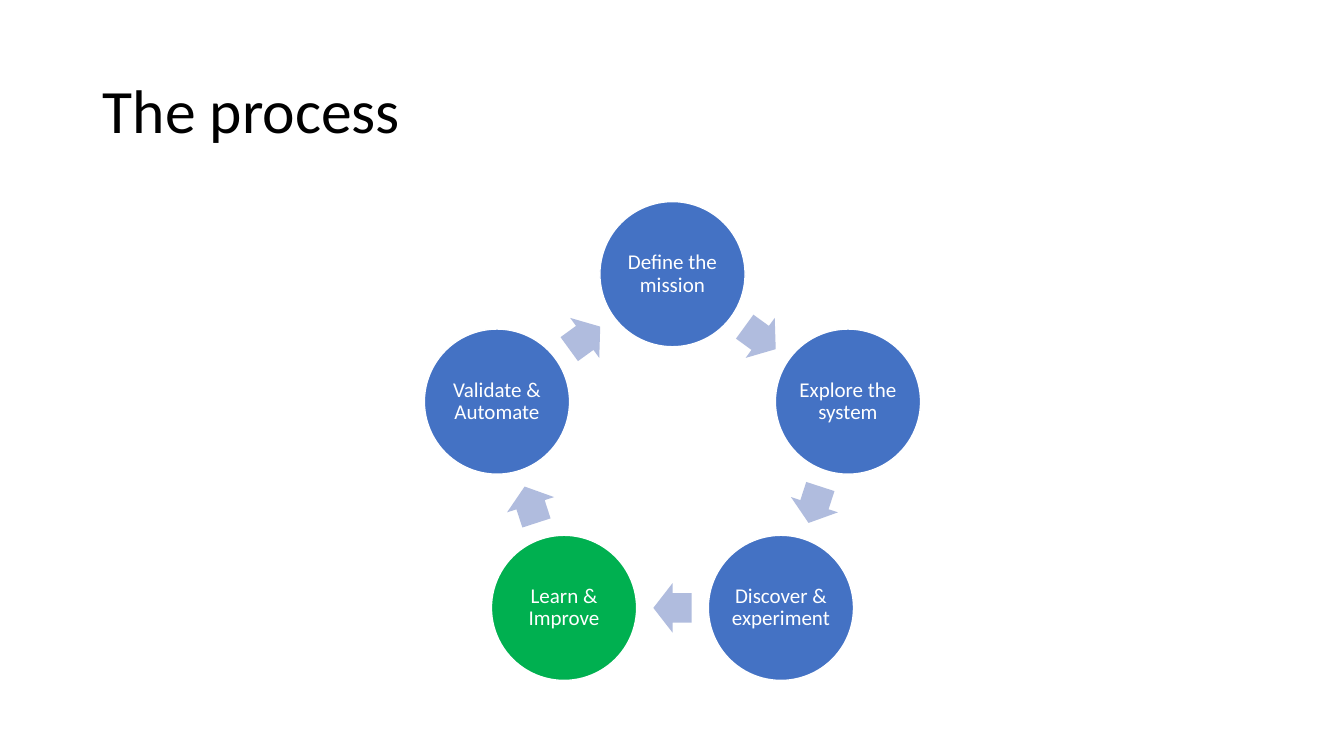
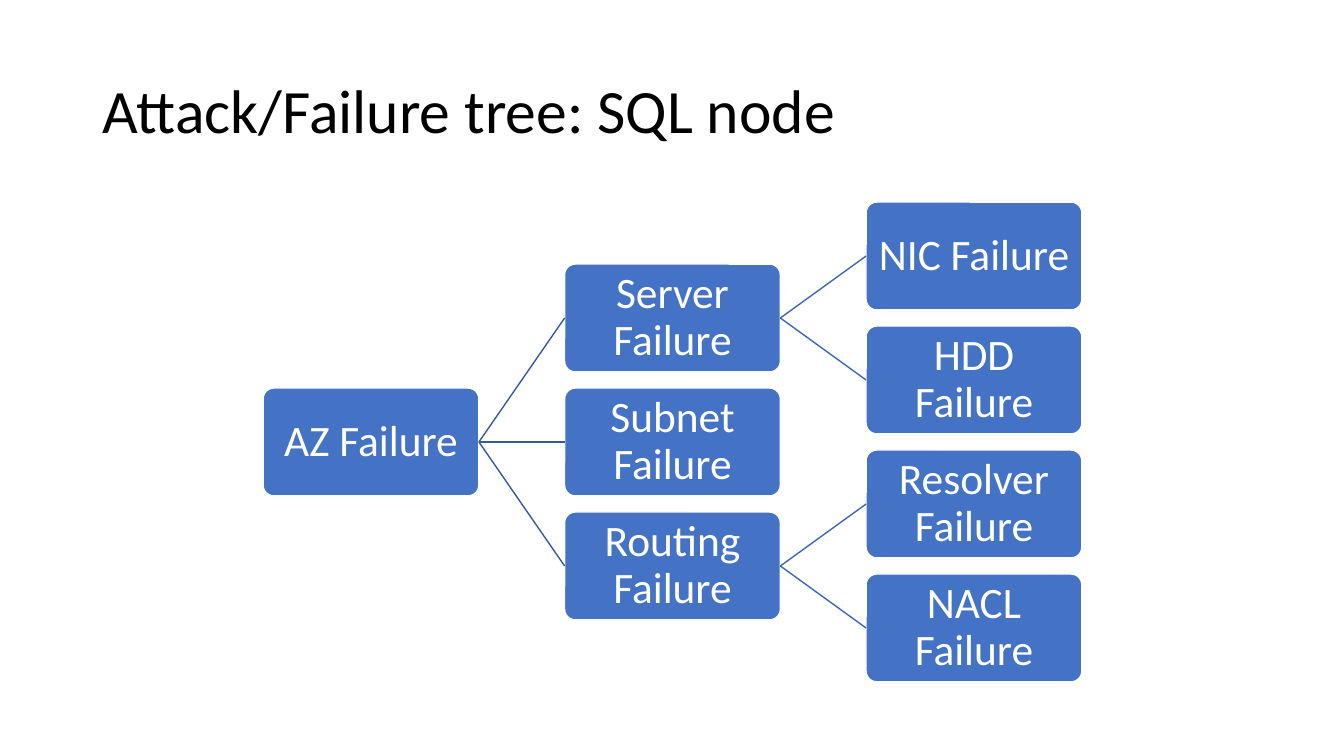
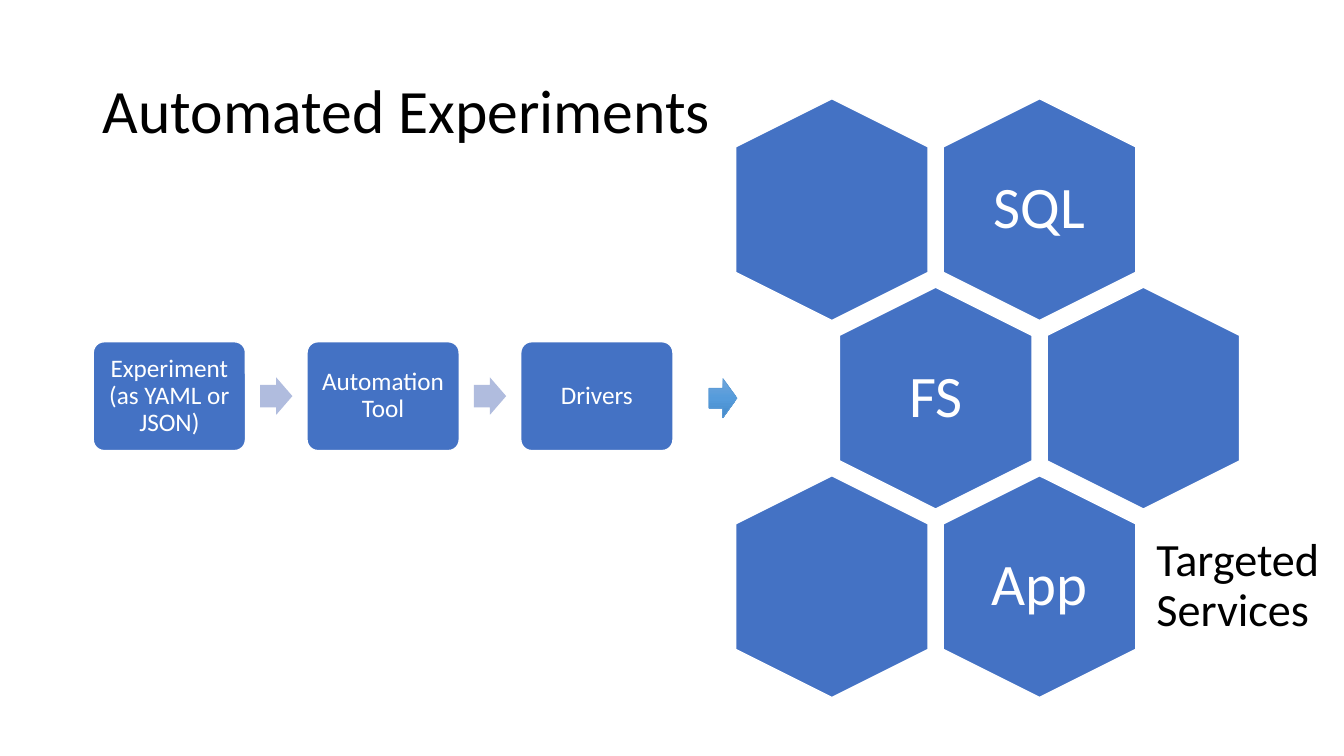
"""Build three slides on a failure-testing process, a failure tree and automated experiments."""
import copy
import dataclasses
import math

import pptx
import pptx.dml.color
import pptx.enum.shapes
import pptx.enum.text
import pptx.oxml.ns
import pptx.util
from lxml import etree

Inches = pptx.util.Inches
SHAPE = pptx.enum.shapes.MSO_SHAPE
ALIGN = pptx.enum.text.PP_ALIGN
ANCHOR = pptx.enum.text.MSO_ANCHOR
rgb = pptx.dml.color.RGBColor.from_string


@dataclasses.dataclass(frozen=True)
class Theme:
    font: str = "Calibri"
    ink: str = "000000"
    paper: str = "FFFFFF"
    block: str = "4472C4"
    highlight: str = "00B050"
    arrow: str = "B0BCDE"
    branches: tuple = ("365B9D", "3E67B2")
    gradient: tuple = ("71A6DB", "559BDB", "448ACA")
    gradient_edge: str = "5B9BD5"
    title_size: int = 44
    service_size: int = 42
    caption_size: int = 33
    tree_size: int = 31
    step_size: int = 18
    cycle_size: int = 15


theme = Theme()


def write(holder, text, size, color=theme.paper, align=ALIGN.CENTER, inset=0.01):
    frame = holder.text_frame
    frame.text = text
    margin = Inches(inset)
    paragraph = frame.paragraphs[0]
    formats = {
        frame: {"word_wrap": True, "vertical_anchor": ANCHOR.MIDDLE,
                "margin_left": margin, "margin_right": margin,
                "margin_top": margin, "margin_bottom": margin},
        paragraph: {"alignment": align, "line_spacing": 0.9},
        paragraph.font: {"name": theme.font, "size": pptx.util.Pt(size)},
    }
    for target, values in formats.items():
        for name, value in values.items():
            setattr(target, name, value)
    paragraph.font.color.rgb = rgb(color)


def add_block(slide, kind, center_x, center_y, width, height, fill=theme.block,
              edge=theme.paper, adjust=(), rotation=0):
    block = slide.shapes.add_shape(
        kind, Inches(center_x - width / 2), Inches(center_y - height / 2),
        Inches(width), Inches(height))
    block.shadow.inherit = False
    block.rotation = rotation
    block.fill.solid()
    block.fill.fore_color.rgb = rgb(fill)
    if edge:
        block.line.color.rgb = rgb(edge)
        block.line.width = pptx.util.Pt(1)
    else:
        block.line.fill.background()
    for index, value in enumerate(adjust):
        block.adjustments[index] = value
    return block


deck = pptx.Presentation()
deck.slide_width, deck.slide_height = Inches(13.33), Inches(7.5)

titles = ["The process", "Attack/Failure tree: SQL node", "Automated Experiments"]
title_place = {"left": 0.92, "top": 0.4, "width": 11.5, "height": 1.45}
for title in titles:
    heading = deck.slides.add_slide(deck.slide_layouts[5]).shapes.title
    for name, value in title_place.items():
        setattr(heading, name, Inches(value))
    write(heading, title, theme.title_size, theme.ink, ALIGN.LEFT, 0.1)
process, tree, experiments = deck.slides

arrow_adjust = (0.6, 0.5)
stages = ["Define the mission", "Explore the system", "Discover & experiment",
          "Learn & Improve", "Validate & Automate"]
current_stage = "Learn & Improve"
cycle_x, cycle_y, cycle_radius = 6.67, 4.55, 1.83
turn = 360 / len(stages)
arrow_radius = cycle_radius * math.cos(math.radians(turn / 2))
for index, stage in enumerate(stages):
    angle = math.radians(index * turn)
    circle = add_block(
        process, SHAPE.OVAL, cycle_x + cycle_radius * math.sin(angle),
        cycle_y - cycle_radius * math.cos(angle), 1.44, 1.44,
        theme.highlight if stage == current_stage else theme.block)
    write(circle, stage, theme.cycle_size)
    heading_angle = (index + 0.5) * turn
    angle = math.radians(heading_angle)
    add_block(process, SHAPE.RIGHT_ARROW, cycle_x + arrow_radius * math.sin(angle),
              cycle_y - arrow_radius * math.cos(angle), 0.38, 0.49,
              theme.arrow, None, arrow_adjust, heading_angle)

failures = [
    ("AZ Failure", 0, 1.5, None),
    ("Server Failure", 1, 0.5, "AZ Failure"),
    ("NIC Failure", 2, 0, "Server Failure"),
    ("HDD Failure", 2, 1, "Server Failure"),
    ("Subnet Failure", 1, 1.5, "AZ Failure"),
    ("Routing Failure", 1, 2.5, "AZ Failure"),
    ("Resolver Failure", 2, 2, "Routing Failure"),
    ("NACL Failure", 2, 3, "Routing Failure"),
]
nodes = {}
for failure, level, row, cause in failures:
    node = add_block(tree, SHAPE.ROUNDED_RECTANGLE, 3.68 + 2.99 * level,
                     2.54 + 1.23 * row, 2.14, 1.07, adjust=(0.1,))
    write(node, failure, theme.tree_size)
    nodes[failure] = node
    if cause:
        branch = tree.shapes.add_connector(
            pptx.enum.shapes.MSO_CONNECTOR.STRAIGHT, 0, 0, 0, 0)
        branch.begin_connect(nodes[cause], 3)
        branch.end_connect(node, 1)
        branch.line.color.rgb = rgb(theme.branches[level - 1])
        branch.line.width = pptx.util.Pt(1)
        etree.SubElement(branch._element.spPr, pptx.oxml.ns.qn("a:effectLst"))

steps = ["Experiment (as YAML or JSON)", "Automation Tool", "Drivers"]
step_x, step_y, step_pitch = 1.68, 3.93, 2.12
for index, step in enumerate(steps):
    center_x = step_x + index * step_pitch
    box = add_block(experiments, SHAPE.ROUNDED_RECTANGLE, center_x, step_y,
                    1.51, 1.08, adjust=(0.1,))
    write(box, step, theme.step_size, inset=0.07)
    if index:
        add_block(experiments, SHAPE.RIGHT_ARROW, center_x - step_pitch / 2, step_y,
                  0.32, 0.37, theme.arrow, None, arrow_adjust)

service_rows = [("", "SQL"), ("FS", ""), ("", "App")]
for row, services in enumerate(service_rows):
    for column, service in enumerate(services):
        center_x = 8.25 + 2.06 * column + 1.03 * (row % 2)
        center_y = 2.08 + 1.87 * row
        add_block(experiments, SHAPE.HEXAGON, center_x, center_y, 2.2, 1.91,
                  adjust=(0.25,), rotation=90)
        if service:
            label = experiments.shapes.add_textbox(
                Inches(center_x - 0.66), Inches(center_y - 0.75), Inches(1.32), Inches(1.5))
            write(label, service, theme.service_size)

caption = experiments.shapes.add_textbox(
    Inches(11.33), Inches(5.16), Inches(2), Inches(1.32))
write(caption, "Targeted Services", theme.caption_size, theme.ink, ALIGN.LEFT, 0.14)

launch = add_block(experiments, SHAPE.RIGHT_ARROW, 7.17, 3.95, 0.28, 0.39,
                   edge=theme.gradient_edge)
launch.line.width = pptx.util.Pt(0.5)
launch.fill.gradient()
launch.fill.gradient_angle = 270
first_stop = launch._element.spPr.find(".//" + pptx.oxml.ns.qn("a:gs"))
first_stop.addnext(copy.deepcopy(first_stop))
for index, (stop, color) in enumerate(zip(launch.fill.gradient_stops, theme.gradient)):
    stop.position = index / 2
    stop.color.rgb = rgb(color)

deck.save("out.pptx")
